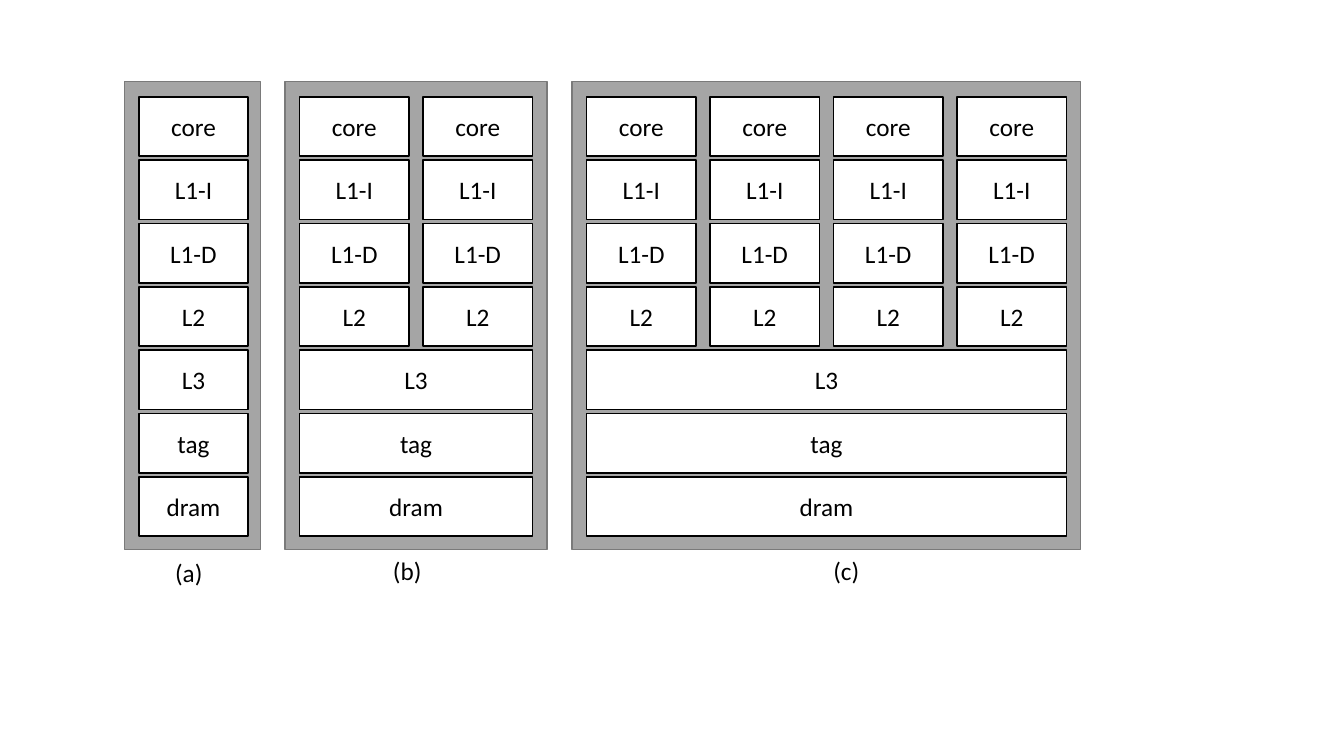
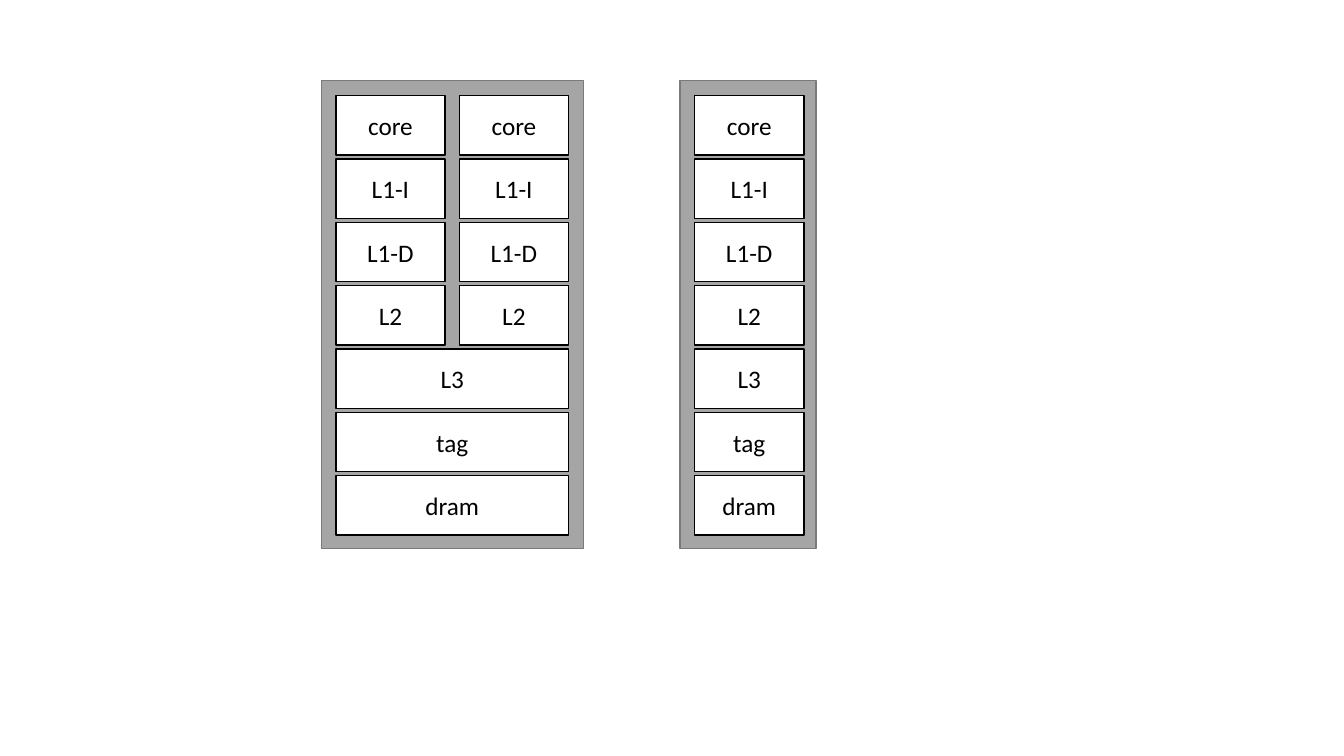
from pptx import Presentation
from pptx.dml.color import RGBColor
from pptx.enum.shapes import MSO_SHAPE
from pptx.enum.text import MSO_ANCHOR, MSO_AUTO_SIZE, PP_ALIGN
from pptx.util import Pt

BLACK = RGBColor(0x00, 0x00, 0x00)
WHITE = RGBColor(0xFF, 0xFF, 0xFF)
GRAY = RGBColor(0xA5, 0xA5, 0xA5)
DARK_GRAY = RGBColor(0x7A, 0x7A, 0x7A)
FONT = "Calibri"

PRIVATE = ["core", "L1-I", "L1-D", "L2"]
SHARED = ["L3", "tag", "dram"]

CELL_W, CELL_H = 78, 42.4
COL_STEP, ROW_STEP = 88.2, 45.24
PAD_X, PAD_Y = 10.4, 10.8
CHIP_H = 334.1
CHIP_W = {1: 97.2, 2: 187.2, 4: 363}


def write(tf, text, size=18, color=BLACK, align=PP_ALIGN.LEFT,
          anchor=MSO_ANCHOR.TOP):
    """Put one formatted line of text in a text frame."""
    tf.word_wrap = True
    tf.vertical_anchor = anchor
    p = tf.paragraphs[0]
    p.alignment = align
    r = p.add_run()
    r.text = text
    r.font.name = FONT
    r.font.size = Pt(size)
    r.font.color.rgb = color


def add_box(s, x, y, w, h, fill=WHITE, line=BLACK):
    """Add a flat outlined rectangle."""
    sp = s.shapes.add_shape(MSO_SHAPE.RECTANGLE, Pt(x), Pt(y), Pt(w), Pt(h))
    sp.shadow.inherit = False
    sp.fill.solid()
    sp.fill.fore_color.rgb = fill
    sp.line.color.rgb = line
    sp.line.width = Pt(1)
    return sp


def add_cell(s, x, y, w, text):
    """Add one labelled unit of a chip."""
    sp = add_box(s, x, y, w, CELL_H)
    write(sp.text_frame, text, align=PP_ALIGN.CENTER,
          anchor=MSO_ANCHOR.MIDDLE)


def add_chip(s, x, y, cores):
    """Add a chip: private units for each core above shared full-width units."""
    add_box(s, x, y, CHIP_W[cores], CHIP_H, fill=GRAY, line=DARK_GRAY)
    left, shared_w = x + PAD_X, (cores - 1) * COL_STEP + CELL_W
    for row, text in enumerate(PRIVATE + SHARED):
        top = y + PAD_Y + row * ROW_STEP
        if text in SHARED:
            add_cell(s, left, top, shared_w, text)
        else:
            for col in range(cores):
                add_cell(s, left + col * COL_STEP, top, CELL_W, text)


def add_caption(s, x, y, text):
    """Add the letter below a chip."""
    tf = s.shapes.add_textbox(Pt(x), Pt(y), Pt(67.7), Pt(29)).text_frame
    write(tf, text)
    tf.auto_size = MSO_AUTO_SIZE.SHAPE_TO_FIT_TEXT


def add_slide(prs, y, chips, captions=()):
    """Add a slide with a row of chips and their captions."""
    s = prs.slides.add_slide(prs.slide_layouts[6])
    for x, cores in chips:
        add_chip(s, x, y, cores)
    for x, top, text in captions:
        add_caption(s, x, top, text)


def main():
    """Build and save the presentation."""
    prs = Presentation()
    prs.slide_width, prs.slide_height = Pt(960), Pt(540)
    add_slide(prs, 58.4, [(408.7, 4), (203.7, 2), (88.8, 1)],
              [(118, 394.6, "(a)"), (273.6, 393.1, "(b)"),
               (588.2, 393.1, "(c)")])
    add_slide(prs, 57.6, [(229.5, 2), (485.8, 1)])
    prs.save("out.pptx")


main()
